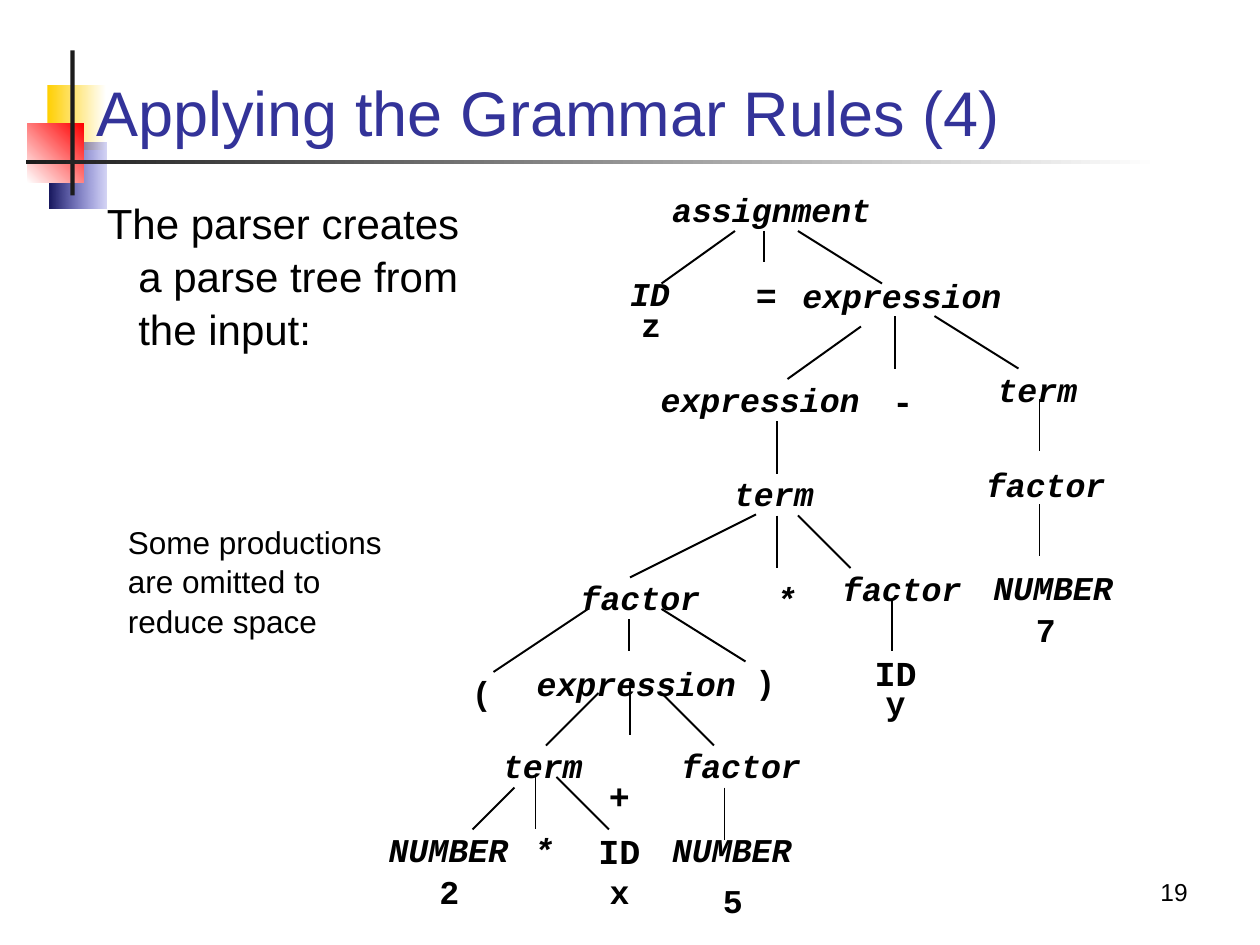
from lxml import etree
from pptx import Presentation
from pptx.dml.color import RGBColor
from pptx.enum.shapes import MSO_CONNECTOR, MSO_SHAPE
from pptx.enum.text import MSO_ANCHOR, PP_ALIGN
from pptx.oxml.ns import qn
from pptx.util import Inches, Pt

RECTANGLE = MSO_SHAPE.RECTANGLE
STRAIGHT = MSO_CONNECTOR.STRAIGHT
TOP, BOTTOM = MSO_ANCHOR.TOP, MSO_ANCHOR.BOTTOM
LEFT, CENTER, RIGHT = PP_ALIGN.LEFT, PP_ALIGN.CENTER, PP_ALIGN.RIGHT

SLIDE_WIDTH, SLIDE_HEIGHT = Inches(10), Inches(7.5)
COLUMNS, ROWS = 120, 90
POINTS_PER_COLUMN = 6
MONO_ADVANCE = 0.6

COLORS = {
    "ink": "000000", "title": "333399", "bar": "1C1C1C", "white": "FFFFFF",
    "yellow": "FFCF01", "navy": "18185E", "blue": "3333CC", "red": "FF0000",
}

SYMBOLS = {
    "rule": (19, True, [
        ("assignment", 73.5, 18), ("ID", 61.9, 26),
        ("expression", 85.9, 26.2), ("expression", 72.4, 36.1),
        ("term", 98.8, 35.2), ("term", 73.7, 45.1), ("factor", 99.6, 44.2),
        ("factor", 61, 55), ("*", 74.9, 55.1), ("factor", 85.9, 54.1),
        ("NUMBER", 100.3, 54), ("expression", 60.6, 63.2),
        ("term", 51.7, 71), ("factor", 70.6, 71),
        ("NUMBER", 42.7, 79), ("*", 51.8, 79), ("NUMBER", 69.7, 79),
    ]),
    "value": (19, False, [
        ("z", 62, 29), ("7", 99.6, 58), ("y", 85.3, 65), ("(", 45.9, 64),
        (")", 72.9, 63), ("2", 42.8, 83), ("x", 59, 83), ("5", 69.8, 83.8),
    ]),
    "token": (20, False, [
        ("=", 73, 26), ("-", 86, 36.1), ("ID", 85.3, 62),
        ("+", 59, 73.8), ("ID", 59, 79),
    ]),
}

BRANCHES = [
    (70, 22, 63, 27), (72.8, 22, 72.8, 25), (76, 22, 84, 27),
    (82, 31.1, 75, 36.1), (85.2, 30.1, 85.2, 35.1), (89, 30.1, 97, 35.1),
    (74, 40.1, 74, 45.1), (99, 38, 99, 43), (99, 48, 99, 53),
    (72, 49, 60, 55), (74, 49.1, 74, 54.1), (76, 49.1, 81, 54.1),
    (85, 57, 85, 62), (56, 58, 47, 64), (59.9, 59, 59.9, 62),
    (63, 58, 71, 63), (57, 66, 52, 71), (60, 65, 60, 70),
    (63, 66, 68, 71), (49, 75, 45, 79), (51, 74, 51, 79),
    (53, 74, 58, 79), (69, 75, 69, 80),
]


def rgb(color):
    return RGBColor.from_string(COLORS[color])


def across(columns):
    return round(SLIDE_WIDTH * columns / COLUMNS)


def down(rows):
    return round(SLIDE_HEIGHT * rows / ROWS)


def grid_box(left, top, width, height):
    return across(left), down(top), across(width), down(height)


def add_block(slide, area, start, end=None, angle=0, end_alpha=None):
    block = slide.shapes.add_shape(RECTANGLE, *grid_box(*area))
    block.shadow.inherit = False
    block.line.fill.background()
    if end is None:
        block.fill.solid()
        block.fill.fore_color.rgb = rgb(start)
        return
    block.fill.gradient()
    block.fill.gradient_angle = angle
    for stop, color, position in zip(block.fill.gradient_stops, (start, end), (0, 1)):
        stop.color.rgb = rgb(color)
        stop.position = position
    if end_alpha is not None:
        end_color = list(block.element.spPr.iter(qn("a:srgbClr")))[-1]
        etree.SubElement(end_color, qn("a:alpha"), val=str(end_alpha * 1000))


def add_text(slide, area, text, size, font="Arial", color="ink", align=LEFT,
             anchor=TOP, spacing=None, hanging=0):
    box = slide.shapes.add_textbox(*grid_box(*area))
    frame = box.text_frame
    frame.word_wrap = True
    frame.vertical_anchor = anchor
    paragraph = frame.paragraphs[0]
    paragraph.text = text
    paragraph.alignment = align
    if spacing:
        paragraph.line_spacing = spacing
    if hanging:
        properties = paragraph._p.get_or_add_pPr()
        properties.set("marL", str(across(hanging)))
        properties.set("indent", str(-across(hanging)))
    paragraph.font.name = font
    paragraph.font.size = Pt(size)
    paragraph.font.color.rgb = rgb(color)
    return frame


def add_symbol(slide, text, center, top, size, italic):
    width = len(text) * size * MONO_ADVANCE / POINTS_PER_COLUMN
    area = (center - width / 2, top, width, size / 5)
    frame = add_text(slide, area, text, size, "Courier New", align=CENTER)
    frame.word_wrap = False
    frame.margin_left = frame.margin_right = 0
    frame.margin_top = frame.margin_bottom = 0
    font = frame.paragraphs[0].font
    font.bold, font.italic = True, italic


def add_branch(slide, x1, y1, x2, y2):
    branch = slide.shapes.add_connector(
        STRAIGHT, across(x1), down(y1), across(x2), down(y2))
    branch.line.color.rgb = rgb("ink")
    branch.line.width = Pt(1.13)
    etree.SubElement(branch.element.spPr, qn("a:effectLst"))


def add_decoration(slide):
    add_block(slide, (4.5, 8.1, 5.6, 6.2), "yellow", "white")
    add_block(slide, (4.7, 13.6, 5.4, 6.3), "navy", "blue", end_alpha=20)
    add_block(slide, (2.6, 11.8, 5.4, 5.6), "white", "red", angle=45)
    add_block(slide, (6.7, 4.8, 0.4, 13.8), "bar")
    add_block(slide, (2.5, 15.2, 108, 0.4), "bar", "white")


def add_parse_tree(slide):
    for branch in BRANCHES:
        add_branch(slide, *branch)
    for size, italic, symbols in SYMBOLS.values():
        for text, center, top in symbols:
            add_symbol(slide, text, center, top, size, italic)


def main():
    deck = Presentation()
    deck.slide_width, deck.slide_height = SLIDE_WIDTH, SLIDE_HEIGHT
    slide = deck.slides.add_slide(deck.slide_layouts[6])
    add_decoration(slide)
    add_text(slide, (8, 3.4, 104, 11.4), "Applying the Grammar Rules (4)", 36,
             color="title", anchor=BOTTOM)
    add_text(slide, (9, 18, 36, 17), "The parser creates a parse tree from the input:",
             24, spacing=1.05, hanging=3)
    add_text(slide, (11, 49, 27, 12), "Some productions are omitted to reduce space",
             18, spacing=1.05)
    add_parse_tree(slide)
    add_text(slide, (89.3, 80.9, 25, 6), "19", 14, align=RIGHT, anchor=BOTTOM)
    deck.save("out.pptx")


if __name__ == "__main__":
    main()
